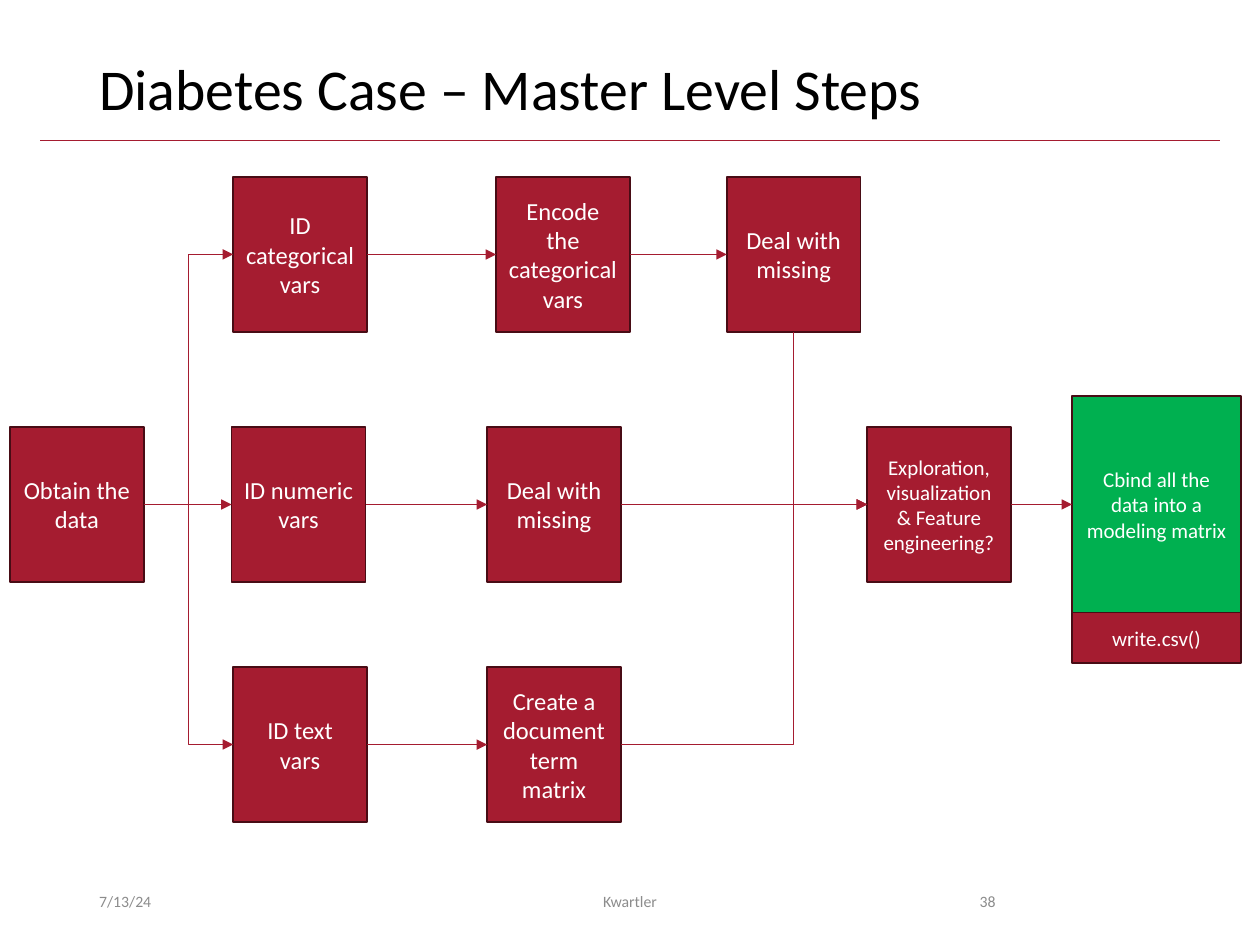
from lxml.etree import SubElement
from pptx import Presentation
from pptx.dml.color import RGBColor
from pptx.enum.shapes import MSO_CONNECTOR, MSO_SHAPE
from pptx.enum.text import MSO_ANCHOR, PP_ALIGN
from pptx.oxml.ns import qn
from pptx.util import Cm, Pt

LEFT, BOTTOM, RIGHT = 1, 2, 3


def rgb(hex_string):
    """Turn a hex string into a colour."""
    return RGBColor.from_string(hex_string)


def style(obj, values):
    """Set every attribute in a dict of format values."""
    for name, value in values.items():
        setattr(obj, name, value)


class Deck:
    """Hold the style and the current slide."""

    crimson, edge, green = "A51C30", "480C15", "00B050"
    white, black, grey = "FFFFFF", "000000", "8C8C8C"
    font = "Calibri"
    box_w, box_h = 2.7, 3.12

    def __init__(self, width, height):
        """Start a presentation with one blank slide."""
        self.prs = Presentation()
        style(self.prs, {"slide_width": Cm(width), "slide_height": Cm(height)})
        self.s = self.prs.slides.add_slide(self.prs.slide_layouts[6])

    def fill_text(self, sp, text, size, color, align, spacing=None):
        """Put one formatted paragraph into a shape."""
        tf = sp.text_frame
        style(tf, {"word_wrap": True, "vertical_anchor": MSO_ANCHOR.MIDDLE})
        p = tf.paragraphs[0]
        style(p, {"alignment": align, "line_spacing": spacing})
        r = p.add_run()
        r.text = text
        style(r.font, {"name": self.font, "size": Pt(size)})
        r.font.color.rgb = rgb(color)

    def label(self, text, x, y, w, h, size=9, color=grey, align=PP_ALIGN.LEFT, spacing=None):
        """Add a text box."""
        sp = self.s.shapes.add_textbox(Cm(x), Cm(y), Cm(w), Cm(h))
        self.fill_text(sp, text, size, color, align, spacing)

    def box(self, text, x, y, w=box_w, h=box_h, size=14, fill=crimson):
        """Add a step of the flow."""
        sp = self.s.shapes.add_shape(MSO_SHAPE.RECTANGLE, Cm(x), Cm(y), Cm(w), Cm(h))
        sp.shadow.inherit = False
        sp.fill.solid()
        sp.fill.fore_color.rgb = rgb(fill)
        sp.line.color.rgb = rgb(self.edge)
        sp.line.width = Pt(1)
        self.fill_text(sp, text, size, self.white, PP_ALIGN.CENTER)
        return sp

    def line(self, x1=0, y1=0, x2=0, y2=0, kind=MSO_CONNECTOR.STRAIGHT):
        """Add a thin line without shadow."""
        c = self.s.shapes.add_connector(kind, Cm(x1), Cm(y1), Cm(x2), Cm(y2))
        c.line.color.rgb = rgb(self.crimson)
        c.line.width = Pt(0.5)
        SubElement(c._element.spPr, qn("a:effectLst"))
        return c

    def arrow(self, start, end, kind=MSO_CONNECTOR.STRAIGHT, site=RIGHT, bend=None):
        """Join two steps with an arrow, bent at a share of its width if asked."""
        c = self.line(kind=kind)
        c.begin_connect(start, site)
        c.end_connect(end, LEFT)
        pr = c._element.spPr
        SubElement(pr.get_or_add_ln(), qn("a:tailEnd"), type="triangle")
        if bend is not None:
            guides = pr.prstGeom.get_or_add_avLst()
            SubElement(guides, qn("a:gd"), name="adj1", fmla=f"val {round(bend * 100000)}")
        return c

    def corner(self, start, end):
        """Join the bottom of one step to the side of another with a single bend."""
        c = self.arrow(start, end, MSO_CONNECTOR.ELBOW, BOTTOM)
        w, h = c.width, c.height
        style(c, {"left": c.left + (w - h) // 2, "top": c.top + (h - w) // 2,
                  "width": h, "height": w})
        pr = c._element.spPr
        pr.prstGeom.set("prst", "bentConnector2")
        pr.xfrm.set("rot", "16200000")
        pr.xfrm.set("flipH", "1")


def main():
    """Build the slide and save it."""
    d = Deck(25.4, 19.05)
    d.line(0.81, 2.84, 24.59, 2.84)
    d.label("Diabetes Case – Master Level Steps", 1.75, 1.02, 21.9, 1.65,
            size=33, color=d.black, spacing=0.9)
    for text, x, w, align in (("7/13/24", 1.75, 5.72, PP_ALIGN.LEFT),
                              ("Kwartler", 8.41, 8.58, PP_ALIGN.CENTER),
                              ("38", 17.93, 2.39, PP_ALIGN.RIGHT)):
        d.label(text, x, 17.65, w, 1.02, align=align)

    high, middle, low = 3.57, 8.61, 13.45
    data = d.box("Obtain the data", 0.2, middle)
    categorical = d.box("ID categorical vars", 4.7, high)
    numeric = d.box("ID numeric vars", 4.67, middle)
    words = d.box("ID text vars", 4.7, low)
    encode = d.box("Encode the categorical vars", 10, high)
    numeric_missing = d.box("Deal with missing", 9.82, middle)
    categorical_missing = d.box("Deal with missing", 14.65, high)
    terms = d.box("Create a document term matrix", 9.82, low)
    explore = d.box("Exploration, visualization & Feature engineering?",
                    17.48, middle, w=2.9, size=12)
    matrix = d.box("Cbind all the data into a modeling matrix",
                   21.61, 7.99, 3.41, 4.36, 12, d.green)
    d.box("write.csv()", 21.61, 12.35, 3.41, 1.02, 12)

    for end in (categorical, words):
        d.arrow(data, end, MSO_CONNECTOR.ELBOW)
    for start, end in ((data, numeric), (categorical, encode),
                       (encode, categorical_missing), (numeric, numeric_missing),
                       (words, terms), (numeric_missing, explore), (explore, matrix)):
        d.arrow(start, end)
    d.corner(categorical_missing, explore)
    d.arrow(terms, explore, MSO_CONNECTOR.ELBOW, bend=0.7)
    d.prs.save("out.pptx")


if __name__ == "__main__":
    main()
